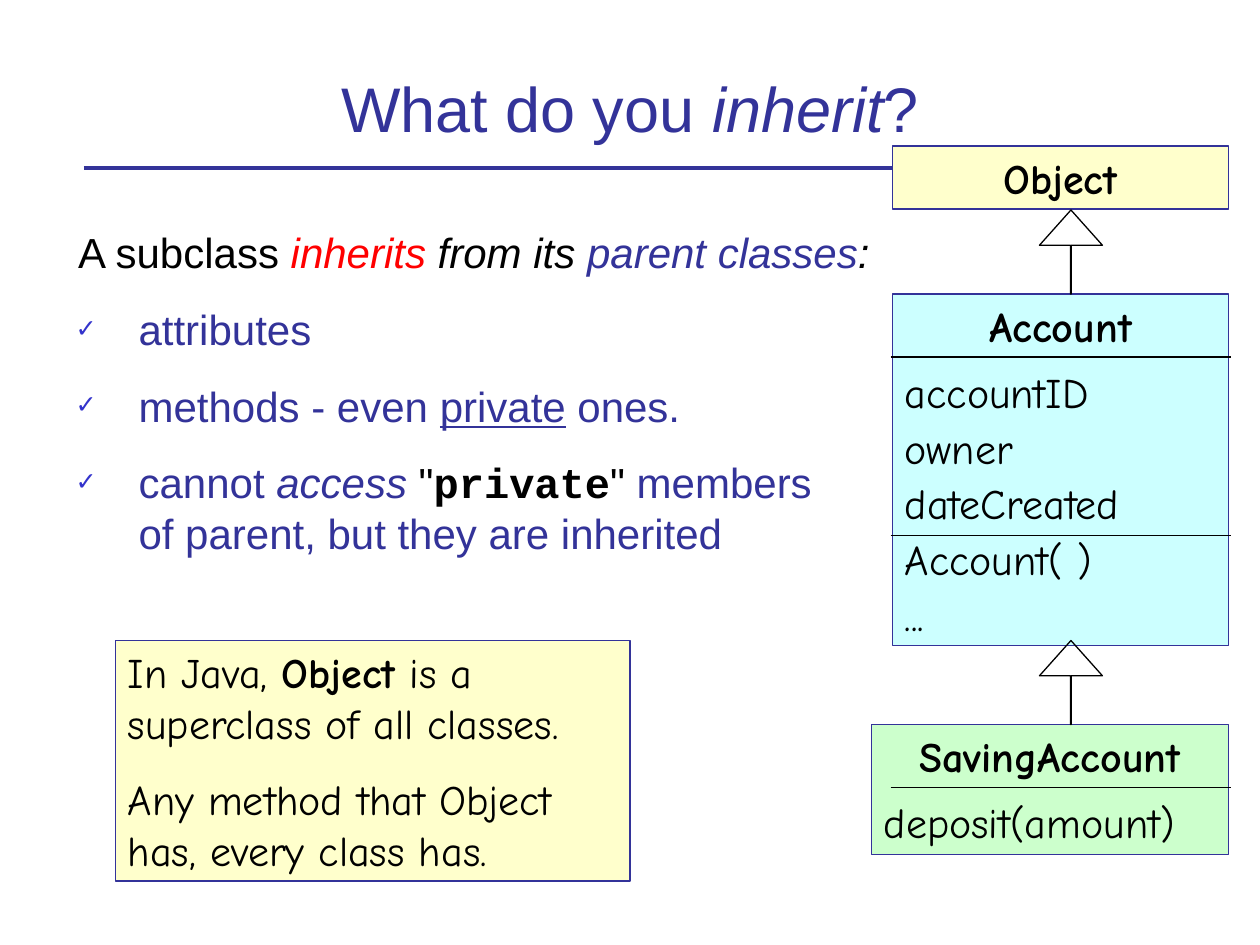
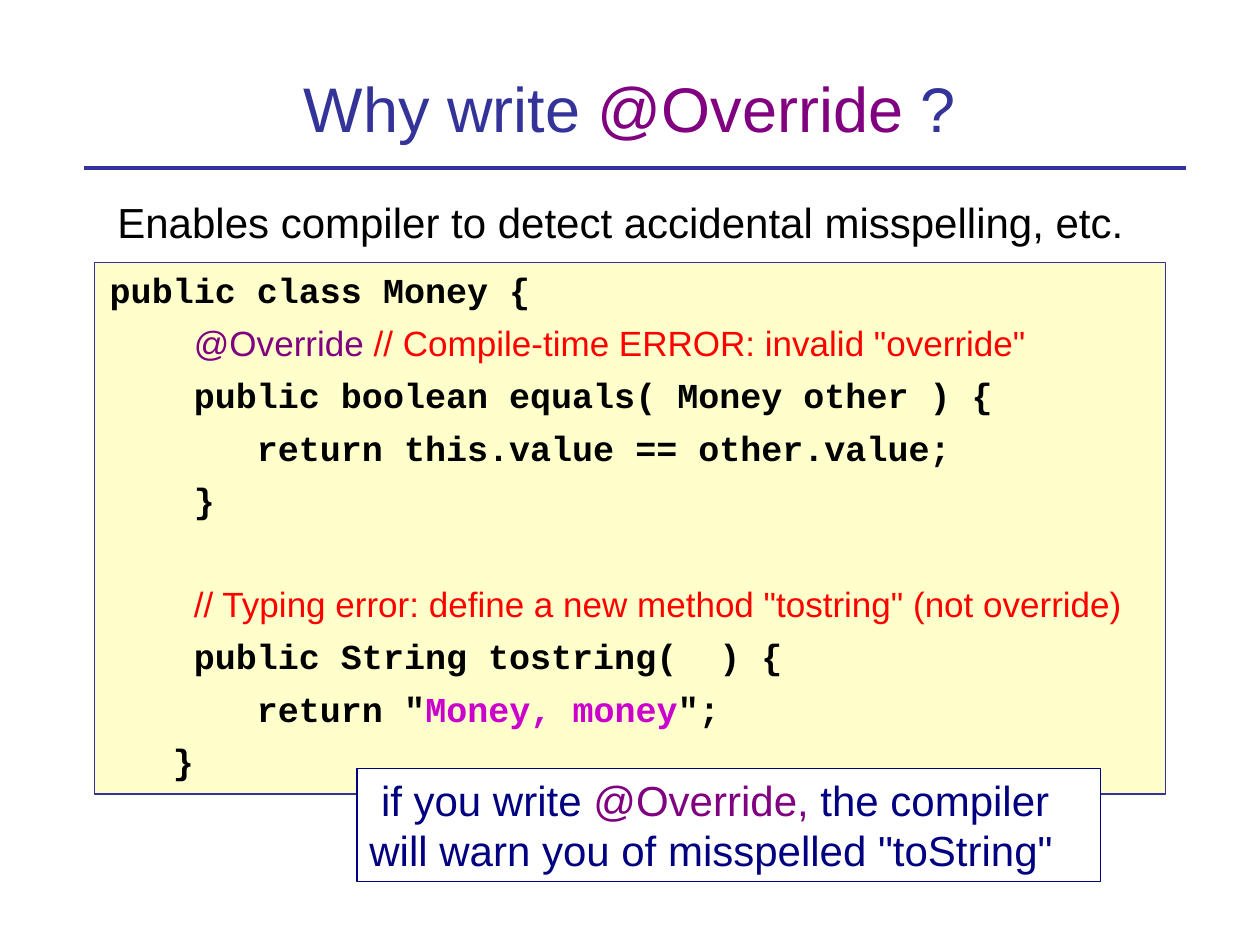
import pptx
import pptx.dml.color
import pptx.enum.shapes
import pptx.enum.text
import pptx.oxml
import pptx.oxml.ns
import pptx.util

Pt = pptx.util.Pt
RGBColor = pptx.dml.color.RGBColor
MSO_SHAPE = pptx.enum.shapes.MSO_SHAPE
MSO_ANCHOR = pptx.enum.text.MSO_ANCHOR
LEFT = pptx.enum.text.PP_ALIGN.LEFT
CENTER = pptx.enum.text.PP_ALIGN.CENTER

INDIGO = RGBColor(0x33, 0x33, 0x99)
NAVY = RGBColor(0x00, 0x00, 0x80)
PURPLE = RGBColor(0x80, 0x00, 0x80)
MAGENTA = RGBColor(0xCC, 0x00, 0xCC)
RED = RGBColor(0xFF, 0x00, 0x00)
BLACK = RGBColor(0x00, 0x00, 0x00)
WHITE = RGBColor(0xFF, 0xFF, 0xFF)
CREAM = RGBColor(0xFF, 0xFF, 0xCC)
AQUA = RGBColor(0xCC, 0xFF, 0xFF)
MINT = RGBColor(0xCC, 0xFF, 0xCC)
BULLET_BLUE = "3333CC"

TITLE = {"size": Pt(36), "name": "Arial", "color": INDIGO}
BODY = {"size": Pt(24), "name": "Arial", "color": INDIGO}
PLAIN = {**BODY, "color": BLACK}
HINT = {**BODY, "color": NAVY}
UML = {"size": Pt(24), "name": "Comic Neue", "color": BLACK}
CODE = {"size": Pt(20), "name": "Courier New", "color": BLACK, "bold": True}
COMMENT = {"name": "Arial", "color": RED, "bold": False}
BOLD = {"bold": True}
ITALIC = {"italic": True}


def write_paragraphs(shape, base, paragraphs):
    """Fill a shape with (layout, runs) pairs; each run adds its own format to base."""
    frame = shape.text_frame
    frame.word_wrap = True
    frame.auto_size = pptx.enum.text.MSO_AUTO_SIZE.NONE
    for number, (layout, runs) in enumerate(paragraphs):
        paragraph = frame.add_paragraph() if number else frame.paragraphs[0]
        paragraph.alignment = layout.get("align", LEFT)
        paragraph.space_before = Pt(layout.get("before", 0))
        properties = paragraph._p.get_or_add_pPr()
        properties.set("marL", str(Pt(layout.get("margin", 0))))
        properties.set("indent", str(Pt(layout.get("indent", 0))))
        bullet = "<a:buNone/>"
        if "bullet" in layout:
            bullet = (f'<a:buClr><a:srgbClr val="{BULLET_BLUE}"/></a:buClr>'
                      f'<a:buSzPct val="60000"/><a:buChar char="{layout["bullet"]}"/>')
        namespace = pptx.oxml.ns.nsdecls("a")
        for element in list(pptx.oxml.parse_xml(f"<a:pPr {namespace}>{bullet}</a:pPr>")):
            properties.append(element)
        for text, changes in runs:
            if text == "\n":
                paragraph.add_line_break()
                continue
            run = paragraph.add_run()
            run.text = text
            for key, value in {**base, **changes}.items():
                if key == "color":
                    run.font.color.rgb = value
                else:
                    setattr(run.font, key, value)


def add_line(slide, start, end, y, color, width):
    """Draw a horizontal line without a shadow."""
    line = slide.shapes.add_connector(
        pptx.enum.shapes.MSO_CONNECTOR.STRAIGHT, Pt(start), Pt(y), Pt(end), Pt(y))
    line.line.color.rgb = color
    line.line.width = Pt(width)
    line.element.spPr.append(
        pptx.oxml.parse_xml(f'<a:effectLst {pptx.oxml.ns.nsdecls("a")}/>'))
    return line


presentation = pptx.Presentation()
presentation.slide_width = Pt(720)
presentation.slide_height = Pt(540)

# Shared layout: title position and the rule below it
layout = presentation.slide_layouts[1]
title_area = layout.placeholders[0]
for side, length in {"left": 48, "top": 18, "width": 624, "height": 68.4}.items():
    setattr(title_area, side, Pt(length))
title_area.text_frame.vertical_anchor = MSO_ANCHOR.BOTTOM

inherit_slide = presentation.slides.add_slide(layout)
override_slide = presentation.slides.add_slide(layout)

rule = add_line(inherit_slide, 48, 678, 96, INDIGO, 2.25)
rule.element.nvCxnSpPr.cNvPr.id = 20
layout.shapes.element.append(rule.element)

# Titles and bodies
check = {"margin": 36, "indent": -36, "before": 15, "bullet": "✓"}
inherit_body = [
    ({"margin": 36, "indent": -34.5}, [
        ("A subclass ", {"color": BLACK}),
        ("inherits", {**ITALIC, "color": RED}),
        (" from its ", {**ITALIC, "color": BLACK}),
        ("parent classes", ITALIC),
        (":", {**ITALIC, "color": BLACK}),
    ]),
    (check, [("attributes", {})]),
    (check, [("methods - even ", {}), ("private", {"underline": True}), (" ones.", {})]),
    (check, [
        ("cannot ", {}),
        ("access ", ITALIC),
        ('"', {"color": BLACK}),
        ("private", {"color": BLACK, "name": "Courier New", "bold": True}),
        ('"', {"color": BLACK}),
        (" members", {}),
        ("\n", {}),
        ("of parent, but they are inherited", {}),
    ]),
]

code_lines = [
    [("public class Money {", {})],
    [("    ", {"bold": False}),
     ("@Override ", {**COMMENT, "color": PURPLE}),
     ('// Compile-time ERROR: invalid "override"', COMMENT)],
    [("    public boolean equals( Money other ) {", {})],
    [("       return this.value == other.value;", {})],
    [("    }", {})],
    [("    ", {"bold": False}),
     ('// Typing error: define a new method "tostring" (not override)', COMMENT)],
    [("    public String tostring(  ) {", {})],
    [('       return "', {}), ("Money, money", {"color": MAGENTA}), ('";', {})],
    [("   }", {})],
]
# The comment on the second method stands one empty line below the first method
space_before = [0, 6, 6, 6, 6, 35, 6, 6, 6]
code_body = [({"margin": 18, "indent": -16.5, "before": before}, runs)
             for before, runs in zip(space_before, code_lines)]

contents = [
    (inherit_slide, [("What do you ", {}), ("inherit", ITALIC), ("?", {})],
     (36, 126, 468.7, 205.2), BODY, inherit_body),
    (override_slide, [("Why write ", {}), ("@Override", {"color": PURPLE}), (" ?", {})],
     (54, 150, 612, 303.8), CODE, code_body),
]
for slide, title_runs, area, base, paragraphs in contents:
    write_paragraphs(slide.shapes.title, TITLE, [({"align": CENTER}, title_runs)])
    body = slide.placeholders[1]
    body.left, body.top, body.width, body.height = map(Pt, area)
    write_paragraphs(body, base, paragraphs)

code_box = override_slide.placeholders[1]
code_box.fill.solid()
code_box.fill.fore_color.rgb = CREAM
code_box.line.color.rgb = INDIGO
code_box.line.width = Pt(0.75)

# Class diagram, note and hint boxes
account_members = ["accountID", "owner", "dateCreated", "Account( )", "..."]
boxes = [
    (inherit_slide, (498, 414, 204, 74.2), MINT, INDIGO, UML, [
        ({"align": CENTER}, [("SavingAccount", BOLD)]),
        ({"before": 9}, [("deposit(amount)", {})]),
    ]),
    (inherit_slide, (510, 83.5, 192, 36), CREAM, INDIGO, UML, [
        ({"align": CENTER}, [("Object", BOLD)]),
    ]),
    (inherit_slide, (510, 168, 192, 201), AQUA, INDIGO, UML, [
        ({"align": CENTER}, [("Account", BOLD)]),
        *[({"before": 3 if row else 9}, [(member, {})])
          for row, member in enumerate(account_members)],
    ]),
    (inherit_slide, (66, 366, 294, 137.5), CREAM, INDIGO, UML, [
        ({}, [("In Java, ", {}), ("Object", BOLD), (" is a superclass of all classes.", {})]),
        ({"before": 15}, [("Any method that Object has, every class has.", {})]),
    ]),
    (override_slide, (204, 439, 424.8, 64.8), WHITE, NAVY, HINT, [
        ({"indent": 6.67}, [
            ("if you write ", {}),
            ("@Override, ", {"color": PURPLE}),
            ('the compiler will warn you of misspelled "toString"', {}),
        ]),
    ]),
]
for slide, area, fill, outline, base, paragraphs in boxes:
    box = slide.shapes.add_shape(MSO_SHAPE.RECTANGLE, *map(Pt, area))
    box.shadow.inherit = False
    box.fill.solid()
    box.fill.fore_color.rgb = fill
    box.line.color.rgb = outline
    box.line.width = Pt(0.75)
    box.text_frame.vertical_anchor = MSO_ANCHOR.TOP
    write_paragraphs(box, base, paragraphs)

for divider_y in (204, 306, 450):
    add_line(inherit_slide, 509, 703.5, divider_y, BLACK, 0.75)

for arrow_top in (120, 366):
    arrow = inherit_slide.shapes.add_shape(
        MSO_SHAPE.UP_ARROW, Pt(594), Pt(arrow_top), Pt(36), Pt(48))
    arrow.shadow.inherit = False
    arrow.adjustments[0] = 0.01
    arrow.adjustments[1] = 0.56
    arrow.fill.background()
    arrow.line.color.rgb = BLACK
    arrow.line.width = Pt(0.75)

purpose = override_slide.shapes.add_textbox(Pt(60), Pt(108.7), Pt(606), Pt(36))
write_paragraphs(purpose, PLAIN, [
    ({}, [("Enables compiler to detect accidental misspelling, etc.", {})]),
])

presentation.save("out.pptx")
